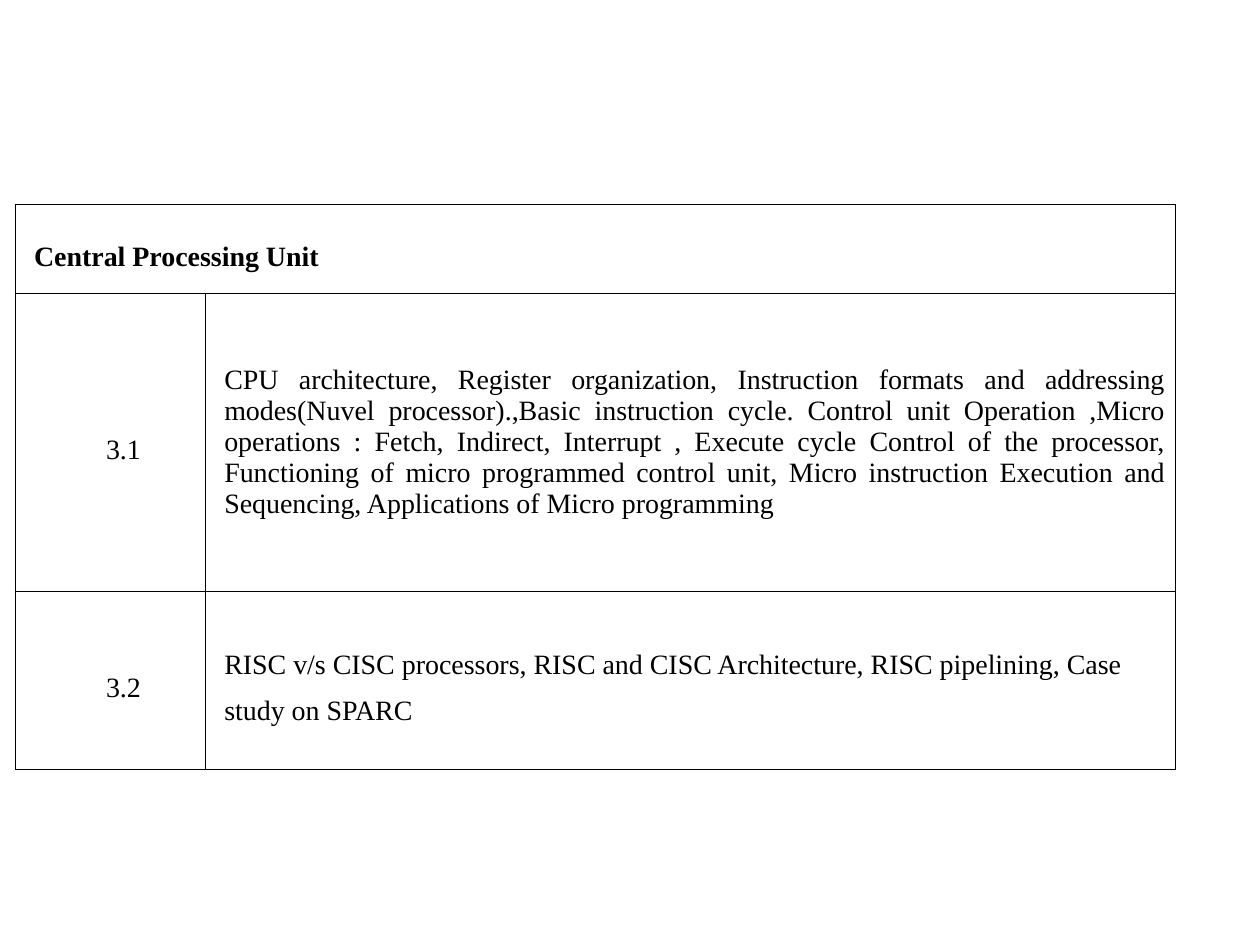
"""Build the Central Processing Unit syllabus table slide."""
from lxml.etree import SubElement
from pptx import Presentation
from pptx.dml.color import RGBColor
from pptx.enum.text import MSO_ANCHOR as ANCHOR, PP_ALIGN as ALIGN
from pptx.oxml.ns import qn
from pptx.util import Inches, Pt

BLACK = RGBColor(0, 0, 0)
FONT = "Times New Roman"


def write(cell, text, align=ALIGN.LEFT, indent=0.07, spacing=1.5, bold=False):
    p = cell.text_frame.paragraphs[0]
    p.alignment = align
    p.line_spacing = spacing
    p._p.get_or_add_pPr().set("marL", str(Inches(indent)))
    r = p.add_run()
    r.text = text
    r.font.name = FONT
    r.font.size = Pt(16)
    r.font.bold = bold
    r.font.color.rgb = BLACK


def add_borders(cell):
    tc_pr = cell._tc.get_or_add_tcPr()
    for side in ("lnL", "lnR", "lnT", "lnB"):
        ln = SubElement(tc_pr, qn(f"a:{side}"), w=str(Pt(0.45)))
        fill = SubElement(ln, qn("a:solidFill"))
        SubElement(fill, qn("a:srgbClr"), val=str(BLACK))


prs = Presentation()
prs.slide_width, prs.slide_height = Inches(10), Inches(7.5)
s = prs.slides.add_slide(prs.slide_layouts[6])

table = s.shapes.add_table(3, 2, Inches(0.12), Inches(1.62), Inches(9.21), Inches(4.49)).table
for column, width in zip(table.columns, (1.51, 7.7)):
    column.width = Inches(width)
for row, height in zip(table.rows, (0.71, 2.36, 1.42)):
    row.height = Inches(height)

for cell in table.iter_cells():
    add_borders(cell)
    cell.fill.background()
    cell.vertical_anchor = ANCHOR.MIDDLE
    cell.margin_left = cell.margin_right = Inches(0.08)
    cell.margin_top = cell.margin_bottom = Inches(0.05)

table.cell(0, 0).merge(table.cell(0, 1))
write(table.cell(0, 0), "Central Processing Unit", bold=True)

topics = [
    ("3.1",
     "CPU architecture, Register organization, Instruction formats and addressing "
     "modes(Nuvel processor).,Basic instruction cycle. Control unit Operation ,Micro "
     "operations : Fetch, Indirect, Interrupt , Execute cycle Control of the processor, "
     "Functioning of micro programmed control unit, Micro instruction Execution and "
     "Sequencing, Applications of Micro programming",
     {"align": ALIGN.JUSTIFY, "spacing": 1.0}),
    ("3.2",
     "RISC v/s CISC processors, RISC and CISC Architecture, RISC pipelining, "
     "Case study on SPARC",
     {}),
]
for i, (number, topic, style) in enumerate(topics, start=1):
    write(table.cell(i, 0), number, align=ALIGN.CENTER, indent=0.21)
    write(table.cell(i, 1), topic, **style)

prs.save("out.pptx")
